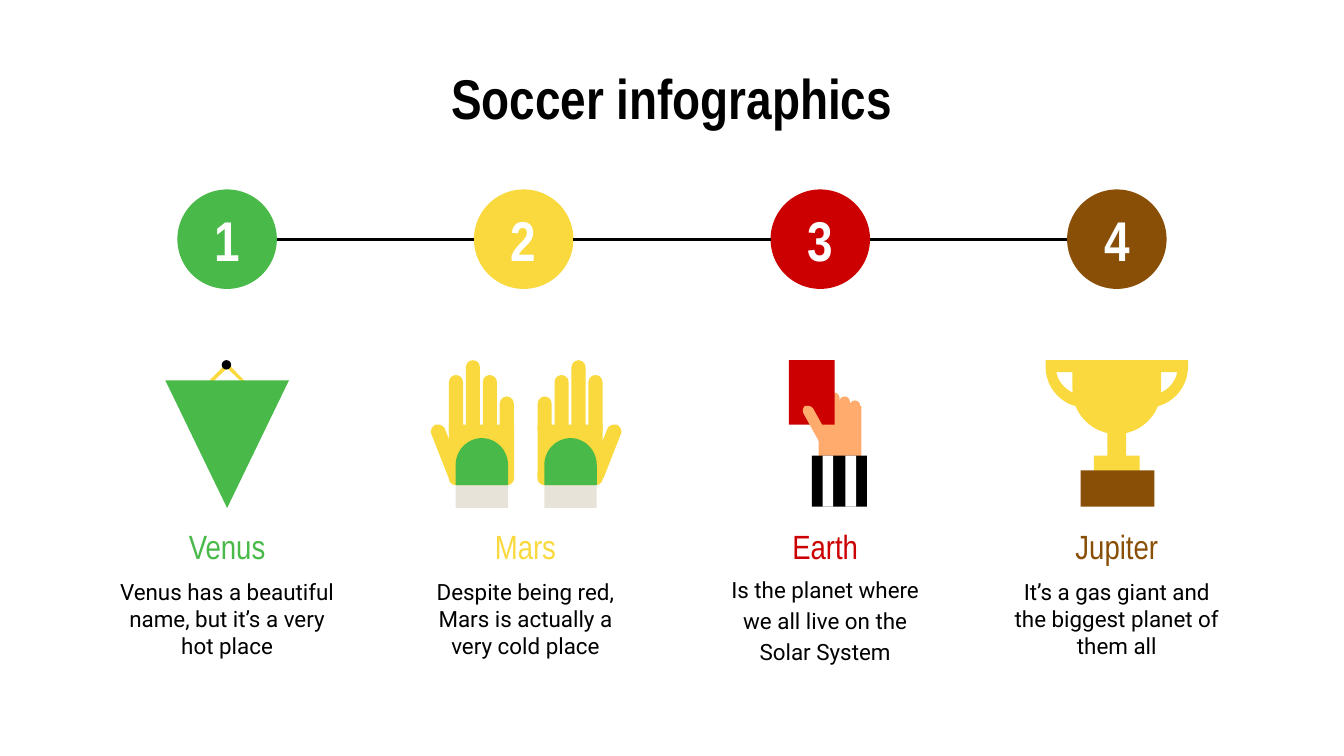
from dataclasses import dataclass
from typing import NamedTuple

from lxml.etree import SubElement
from pptx import Presentation
from pptx.dml.color import RGBColor
from pptx.enum.shapes import MSO_CONNECTOR, MSO_SHAPE
from pptx.enum.text import MSO_ANCHOR, PP_ALIGN
from pptx.oxml.ns import qn
from pptx.util import Inches, Pt

RECT = MSO_SHAPE.RECTANGLE
OVAL = MSO_SHAPE.OVAL
ROUND = MSO_SHAPE.ROUND_2_SAME_RECTANGLE
LINE = MSO_CONNECTOR.STRAIGHT
TOP, MIDDLE = MSO_ANCHOR.TOP, MSO_ANCHOR.MIDDLE
CENTER = PP_ALIGN.CENTER


@dataclass(frozen=True)
class Theme:
    green: str = "49BA49"
    yellow: str = "F9D93D"
    red: str = "CC0000"
    brown: str = "8A4F07"
    skin: str = "FFAB6D"
    cuff: str = "E8E3D9"
    black: str = "000000"
    white: str = "FFFFFF"
    head: str = "Arial Narrow"
    body: str = "Roboto"
    big: int = 30
    mid: int = 18
    small: int = 12
    rule: float = 1.5


class Step(NamedTuple):
    name: str
    note: str
    color: str
    mid: float
    space: float | None = None
    after: int | None = None


class Part(NamedTuple):
    x: float
    y: float
    w: float
    h: float
    color: str
    kind: int = RECT
    ends: tuple[float, ...] = ()


T = Theme()
STEPS = [
    Step("Venus", "Venus has a beautiful name, but it’s a very hot place", T.green, 1.69),
    Step("Mars", "Despite being red, Mars is actually a very cold place", T.yellow, 3.91),
    Step("Earth", "Is the planet where we all live on the Solar System", T.red, 6.14, 1.15, 16),
    Step("Jupiter", "It’s a gas giant and the biggest planet of them all", T.brown, 8.31),
]
FIRST, LAST, DISK, AXIS = 1.69, 8.31, 0.74, 1.78
GAP = (LAST - FIRST) / (len(STEPS) - 1)
CAP = (0.5, 0)

prs = Presentation()
prs.slide_width = Inches(10)
prs.slide_height = prs.slide_width * 9 // 16
slide = prs.slides.add_slide(prs.slide_layouts[6])
shapes = slide.shapes


def paint(shape, color: str):
    shape.shadow.inherit = False
    shape.fill.solid()
    shape.fill.fore_color.rgb = RGBColor.from_string(color)
    shape.line.fill.background()
    return shape


def write(shape, text: str, *, size: int, color: str, font: str = T.head, bold: bool = False,
          anchor: int = MIDDLE, space: float | None = None, after: int | None = None) -> None:
    frame = shape.text_frame
    frame.word_wrap = True
    frame.vertical_anchor = anchor
    frame.margin_left = frame.margin_right = Inches(0.1)
    frame.margin_top = frame.margin_bottom = Inches(0.1)
    para = frame.paragraphs[0]
    para.alignment = CENTER
    para.line_spacing = space
    if after is not None:
        para.space_after = Pt(after)
    run = para.add_run()
    run.text = text
    run.font.size, run.font.name, run.font.bold = Pt(size), font, bold
    run.font.color.rgb = RGBColor.from_string(color)


def box(x: float, y: float, w: float, h: float):
    return shapes.add_textbox(Inches(x), Inches(y), Inches(w), Inches(h))


def draw(part: Part):
    shape = shapes.add_shape(part.kind, *(Inches(v) for v in part[:4]))
    for i, end in enumerate(part.ends):
        shape.adjustments[i] = end
    return paint(shape, part.color)


def trace(path: list[tuple[float, ...]]) -> list[tuple[int, int]]:
    dots = []
    for node in path:
        if len(node) == 2:
            dots.append(node)
            continue
        a, b, c, d = dots[-1], node[:2], node[2:4], node[4:]
        for t in (i / 12 for i in range(1, 13)):
            u = 1 - t
            dots.append(tuple(u**3 * p + 3 * u * u * t * q + 3 * u * t * t * r + t**3 * s
                              for p, q, r, s in zip(a, b, c, d)))
    return [(Inches(x), Inches(y)) for x, y in dots]


def outline(color: str, *paths: list[tuple[float, ...]]) -> None:
    first, *rest = [trace(path) for path in paths]
    pen = shapes.build_freeform(*first[0], scale=1.0)
    pen.add_line_segments(first[1:], close=True)
    for dots in rest:
        pen.move_to(*dots[0])
        pen.add_line_segments(dots[1:], close=True)
    paint(pen.convert_to_shape(), color)


def flip(path: list[tuple[float, ...]], total: float) -> list[tuple[float, ...]]:
    return [tuple(total - v if i % 2 == 0 else v for i, v in enumerate(node)) for node in path]


def dome(x: float, base: float, w: float, edge: float, peak: float, color: str) -> None:
    bend = edge + (peak - edge) * 0.55
    mid, pull = x + w / 2, w * 0.225
    outline(color, [(x, base), (x, edge), (x, bend, mid - w / 2 + pull, peak, mid, peak),
                    (x + w - pull, peak, x + w, bend, x + w, edge), (x + w, base)])


def trophy() -> None:
    outline(T.yellow,
            [(8.76, 2.77), (8.74, 2.87, 8.65, 2.94, 8.55, 2.94), (8.07, 2.94),
             (7.97, 2.94, 7.88, 2.87, 7.86, 2.77)],
            [(7.78, 2.68), (7.78, 2.73), (7.78, 2.89, 7.91, 3.03, 8.07, 3.03), (8.55, 3.03),
             (8.71, 3.03, 8.84, 2.89, 8.84, 2.73), (8.84, 2.68)])
    draw(Part(8.24, 3.08, 0.14, 0.34, T.yellow))
    draw(Part(8.14, 3.39, 0.34, 0.14, T.yellow))
    dome(7.98, 2.68, 0.66, 2.9, 3.23, T.yellow)
    draw(Part(8.04, 3.5, 0.55, 0.27, T.brown))


def glove(left: float, tops: list[float], thumb: list[tuple[float, ...]]) -> None:
    draw(Part(left + 0.05, 3.57, 0.39, 0.21, T.cuff))
    outline(T.yellow, thumb)
    for i, top in enumerate(tops):
        draw(Part(left + 0.126 * i, top, 0.105, 3.2 - top, T.yellow, ROUND, CAP))
    draw(Part(left, 3.16, 0.485, 0.45, T.yellow, ROUND, (0, 0.11)))
    dome(left + 0.05, 3.61, 0.39, 3.46, 3.26, T.green)


def gloves() -> None:
    tops = [2.79, 2.68, 2.79, 2.95]
    thumb = [(3.26, 3.16), (3.25, 3.16, 3.24, 3.16, 3.24, 3.16),
             (3.21, 3.18, 3.2, 3.21, 3.21, 3.23), (3.34, 3.56), (3.44, 3.52),
             (3.31, 3.19), (3.3, 3.17, 3.28, 3.16, 3.26, 3.16)]
    glove(4, tops[::-1], flip(thumb, 7.83))
    glove(3.34, tops, thumb)


def card() -> None:
    for i, top in enumerate((2.9, 2.92, 2.95, 2.98)):
        draw(Part(6.09 + 0.077 * i, top, 0.08, 0.2, T.skin, ROUND, CAP))
    draw(Part(6.09, 3.02, 0.32, 0.51, T.skin))
    draw(Part(5.87, 2.68, 0.34, 0.48, T.red))
    outline(T.skin, [(6.01, 3.02), (6.01, 3.02, 6, 3.02, 5.99, 3.02),
                     (5.97, 3.04, 5.97, 3.06, 5.98, 3.08), (6.13, 3.35), (6.2, 3.31),
                     (6.05, 3.04), (6.04, 3.03, 6.03, 3.02, 6.01, 3.02)])
    draw(Part(6.04, 3.39, 0.41, 0.38, T.black))
    for x in (6.12, 6.29):
        draw(Part(x, 3.39, 0.08, 0.38, T.white))


def pennant() -> None:
    outline(T.yellow, [(1.69, 2.7), (1.44, 2.95), (1.46, 2.96), (1.69, 2.74),
                       (1.92, 2.96), (1.93, 2.95)])
    draw(Part(1.65, 2.68, 0.07, 0.07, T.black, OVAL))
    outline(T.green, [(1.23, 2.83), (1.69, 3.78), (2.15, 2.83)])
    outline(T.green, [(1.3, 2.88), (1.69, 3.67), (2.07, 2.88)])


def label(step: Step) -> None:
    write(box(step.mid - 0.5, 3.88, 1, 0.36), step.name, size=T.mid, color=step.color)
    write(box(step.mid - 0.91, 4.25, 1.82, 0.71), step.note, size=T.small, color=T.black,
          font=T.body, space=step.space, after=step.after)


def badge(i: int, step: Step) -> None:
    x = FIRST + GAP * i - DISK / 2
    disk = draw(Part(x, AXIS - DISK / 2, DISK, DISK, step.color, OVAL))
    write(disk, str(i + 1), size=T.big, color=T.white, bold=True)


def link(i: int) -> None:
    x = FIRST + GAP * i + DISK / 2
    line = shapes.add_connector(LINE, Inches(x), Inches(AXIS), Inches(x + GAP - DISK), Inches(AXIS))
    line.line.color.rgb = RGBColor.from_string(T.black)
    line.line.width = Pt(T.rule)
    SubElement(line._element.spPr, qn("a:effectLst"))


write(box(0.78, 0.59, 8.44, 0.45), "Soccer infographics", size=T.big, color=T.black,
      bold=True, anchor=TOP, space=0.5)
for icon in (trophy, gloves, card, pennant):
    icon()
for step in STEPS:
    label(step)
for i, step in enumerate(STEPS):
    badge(i, step)
for i in range(len(STEPS) - 1):
    link(i)

prs.save("out.pptx")
